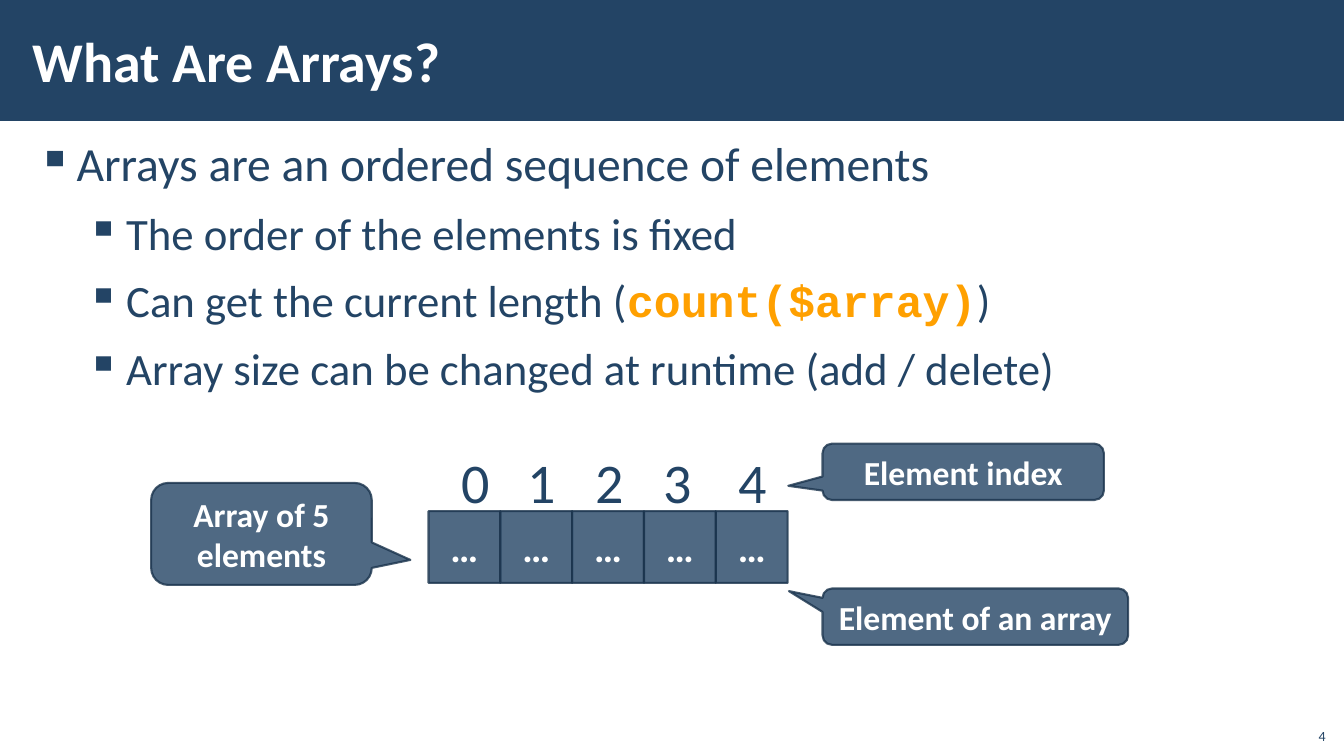
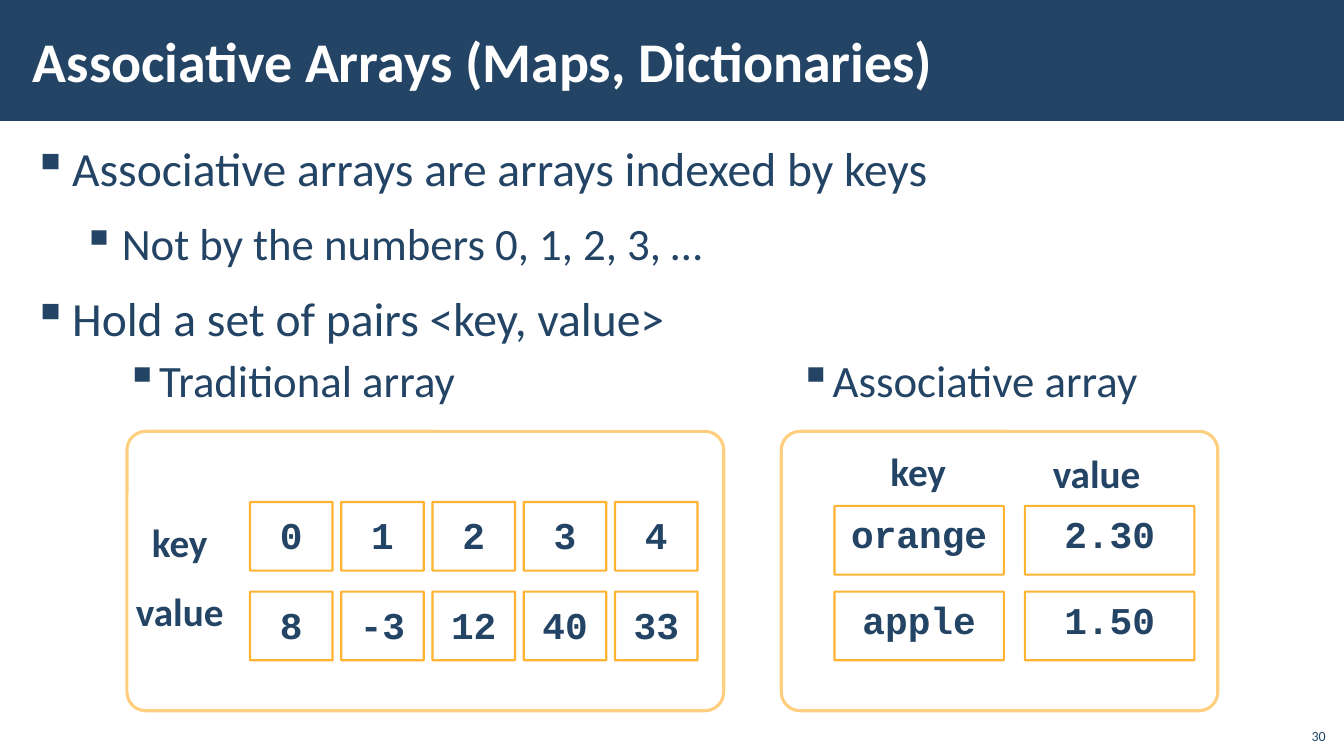
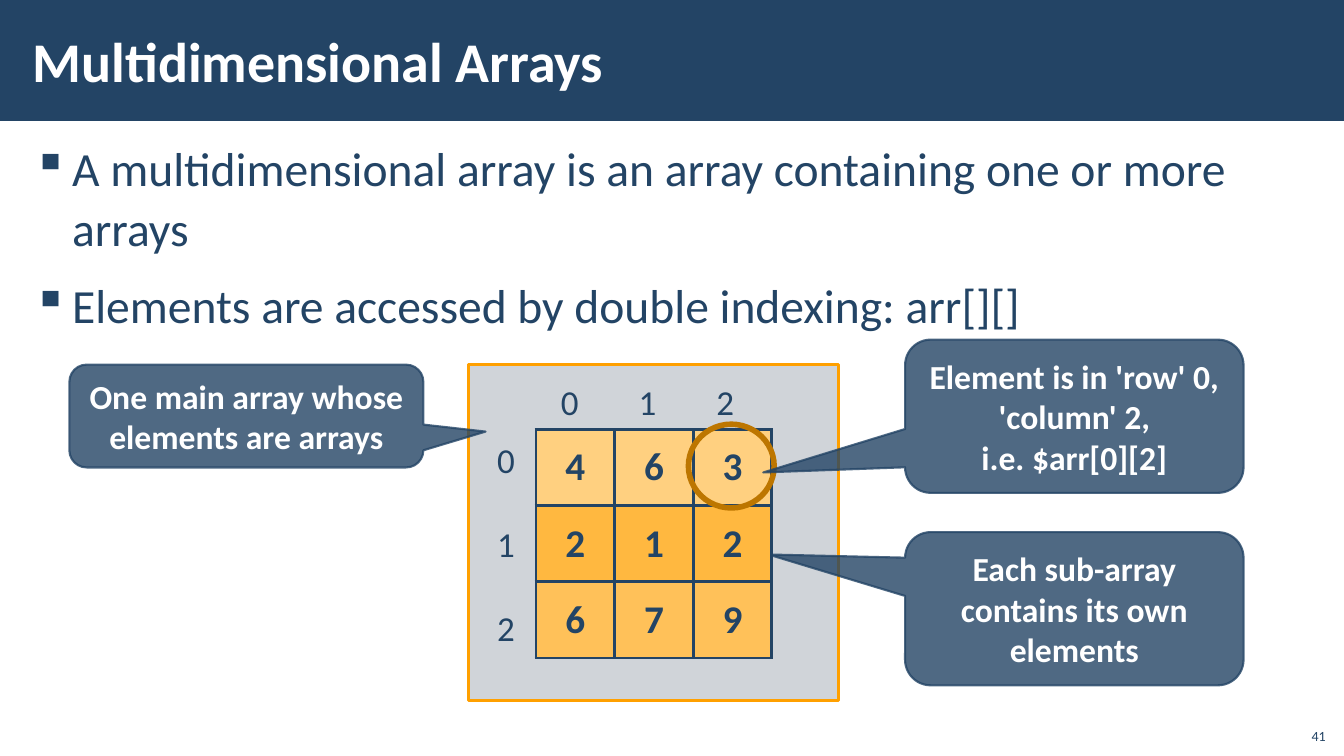
from dataclasses import dataclass

from lxml import etree
from pptx import Presentation
from pptx import util as u
from pptx.dml import color
from pptx.enum import shapes, text
from pptx.oxml import ns

KIND = shapes.MSO_SHAPE
ALIGN = text.PP_ALIGN
ANCHOR = text.MSO_ANCHOR


@dataclass(frozen=True)
class Theme:
    navy: str = "234465"
    deep: str = "1A334C"
    panel: str = "172C42"
    white: str = "FFFFFF"
    amber: str = "FFA000"
    ring: str = "BD7600"
    rows: tuple = ("FFD080", "FFB840", "FFC159")
    sans: str = "Calibri"
    mono: str = "Courier New"
    title: int = 40
    index: int = 40
    levels: tuple = (34, 32)
    label: int = 28
    code: int = 27
    axis: int = 25
    callout: int = 24
    number: int = 10


THEME = Theme()


def rgb(value):
    return color.RGBColor.from_string(value)


def add_xml(parent, tag, **attributes):
    return etree.SubElement(parent, ns.qn(tag), attributes)


class Slides:
    """Holds the deck, its style and the page being filled; lengths are in cm."""

    def __init__(self, theme):
        self.theme = theme
        self.deck = Presentation()
        self.deck.slide_width = u.Cm(33.87)
        self.deck.slide_height = u.Cm(19.05)
        self.page = None

    def start(self, title, number):
        """Open a page with its band, title and page number."""
        theme = self.theme
        self.page = self.deck.slides.add_slide(self.deck.slide_layouts[6])
        self.shape(KIND.RECTANGLE, (0, 0, 33.87, 3.05), fill=theme.navy)
        self.label(title, (0.53, 0.28, 27, 2.46), theme.title, bold=True,
                   ink=theme.white, align=ALIGN.LEFT, anchor=ANCHOR.MIDDLE,
                   margins=(0.3, 0.1))
        self.label(number, (32.64, 18.08, 1.02, 0.81), theme.number,
                   align=ALIGN.RIGHT, anchor=ANCHOR.BOTTOM)

    def style(self, span, size, ink=None, bold=False, face=None):
        span.font.size = u.Pt(size)
        span.font.name = face or self.theme.sans
        span.font.bold = bold
        span.font.color.rgb = rgb(ink or self.theme.navy)

    def fill_text(self, frame, words, size, align=ALIGN.CENTER, **look):
        frame.text = words
        for para in frame.paragraphs:
            para.alignment = align
            for span in para.runs:
                self.style(span, size, **look)

    def box(self, place, margins=(0.25, 0.13), anchor=ANCHOR.TOP):
        """Add a wrapping text box and return its text frame."""
        frame = self.page.shapes.add_textbox(*map(u.Cm, place)).text_frame
        frame.word_wrap = True
        frame.auto_size = text.MSO_AUTO_SIZE.NONE
        frame.vertical_anchor = anchor
        frame.margin_left = frame.margin_right = u.Cm(margins[0])
        frame.margin_top = frame.margin_bottom = u.Cm(margins[1])
        return frame

    def label(self, words, place, size, margins=(0.25, 0.13),
              anchor=ANCHOR.TOP, spacing=1, **look):
        frame = self.box(place, margins, anchor)
        self.fill_text(frame, words, size, **look)
        frame.paragraphs[0].line_spacing = spacing

    def bullets(self, items, place, spacing=1.05, indents=(0.99, 2.24),
                hang=0.99, margins=(0.3, 0.1)):
        """Items are (level, words); words between backticks are code."""
        frame = self.box(place, margins)
        for order, (level, words) in enumerate(items):
            para = frame.add_paragraph() if order else frame.paragraphs[0]
            para.level = level
            para.line_spacing = spacing
            para.space_before = u.Pt(6 if order else 0)
            para.space_after = u.Pt(6)
            props = para._p.get_or_add_pPr()
            props.set("marL", str(u.Cm(indents[level])))
            props.set("indent", str(-u.Cm(hang)))
            add_xml(props, "a:buChar", char="▪")
            for part, piece in enumerate(words.split("`")):
                span = para.add_run()
                span.text = piece
                is_code = part % 2 == 1
                self.style(span, self.theme.levels[level], bold=is_code,
                           ink=self.theme.amber if is_code else None,
                           face=self.theme.mono if is_code else None)

    def subheading(self, words, place):
        self.bullets([(1, words)], place, indents=(0, 0.84), hang=0.84,
                     margins=(0.25, 0.13))

    def shape(self, kind, place, fill=None, line=None, width=1.5,
              fill_alpha=100, line_alpha=100, adjust=()):
        item = self.page.shapes.add_shape(kind, *map(u.Cm, place))
        item.shadow.inherit = False
        for position, value in enumerate(adjust):
            item.adjustments[position] = value
        for target, ink in ((item.fill, fill), (item.line.fill, line)):
            if ink:
                target.solid()
                target.fore_color.rgb = rgb(ink)
            else:
                target.background()
        if line:
            item.line.width = u.Pt(width)
        for where, alpha in (("", fill_alpha), ("a:ln/", line_alpha)):
            if alpha < 100:
                for tint in item.element.xpath(f"p:spPr/{where}a:solidFill/a:srgbClr"):
                    add_xml(tint, "a:alpha", val=str(alpha * 1000))
        return item

    def glass(self, kind, place, words, size, line, adjust=()):
        """A translucent navy shape with bold white text."""
        item = self.shape(kind, place, self.theme.navy, line, fill_alpha=80,
                          line_alpha=80, adjust=adjust)
        self.fill_text(item.text_frame, words, size, bold=True,
                       ink=self.theme.white)

    def callout(self, words, place, tip, line):
        self.glass(KIND.ROUNDED_RECTANGULAR_CALLOUT, place, words,
                   self.theme.callout, line, (*tip, 0.167))

    def code_cell(self, words, place, lift=0):
        """An amber outline with code, raised by lift from the middle."""
        item = self.shape(KIND.RECTANGLE, place, line=self.theme.amber,
                          line_alpha=80)
        item.text_frame.margin_bottom = u.Cm(0.13 + 2 * lift)
        self.fill_text(item.text_frame, words, self.theme.code, bold=True,
                       face=self.theme.mono)

    def frame(self, place):
        self.shape(KIND.ROUNDED_RECTANGLE, place, line=self.theme.amber,
                   width=2.25, line_alpha=50, adjust=(0.067,))

    def table(self, rows, left, top, cell_width, cell_height):
        count = len(rows[0])
        table = self.page.shapes.add_table(
            len(rows), count, u.Cm(left), u.Cm(top),
            u.Cm(cell_width * count), u.Cm(cell_height * len(rows))).table
        table.first_row = table.horz_banding = False
        for column in table.columns:
            column.width = u.Cm(cell_width)
        for line, values, tint in zip(table.rows, rows, self.theme.rows):
            line.height = u.Cm(cell_height)
            for cell, value in zip(line.cells, values):
                self.fill_text(cell.text_frame, value, self.theme.label, bold=True)
                cell.vertical_anchor = ANCHOR.MIDDLE
                self.borders(cell)
                cell.fill.solid()
                cell.fill.fore_color.rgb = rgb(tint)

    def borders(self, cell):
        props = cell._tc.get_or_add_tcPr()
        for side in ("a:lnL", "a:lnR", "a:lnT", "a:lnB"):
            edge = add_xml(props, side, w=str(u.Pt(2.25)))
            add_xml(add_xml(edge, "a:solidFill"), "a:srgbClr", val=self.theme.navy)


def what_are_arrays(slides):
    slides.start("What Are Arrays?", "4")
    slides.bullets([
        (0, "Arrays are an ordered sequence of elements"),
        (1, "The order of the elements is fixed"),
        (1, "Can get the current length (`count($array)`)"),
        (1, "Array size can be changed at runtime (add / delete)"),
    ], (0.64, 3.38, 31.32, 7.44), spacing=0.95)
    for words, place, tip in (
        ("Array of 5 elements", (3.81, 12.17, 5.56, 2.57), (0.675, 0.255)),
        ("Element index", (20.73, 11.18, 7.09, 1.42), (-0.622, 0.249)),
        ("Element of an array", (20.73, 14.83, 7.7, 1.42), (-0.61, -0.453)),
    ):
        slides.callout(words, place, tip, THEME.deep)
    side = 1.81
    for index, left in enumerate((11.23, 12.9, 14.61, 16.31, 18.21)):
        slides.glass(KIND.RECTANGLE, (10.8 + index * side, 12.88, side, side),
                     "…", THEME.label, THEME.deep)
        slides.label(str(index), (left, 10.8, 1.52, 2.39), THEME.index,
                     margins=(0.2, 0.3), spacing=1.1)


def associative_arrays(slides):
    slides.start("Associative Arrays (Maps, Dictionaries)", "30")
    slides.bullets([
        (0, "Associative arrays are arrays indexed by keys"),
        (1, "Not by the numbers 0, 1, 2, 3, …"),
        (0, "Hold a set of pairs <key, value>"),
    ], (0.53, 3.33, 31.65, 5.3))
    slides.subheading("Traditional array", (2.92, 8.69, 8.92, 1.7))
    slides.subheading("Associative array", (19.89, 8.69, 9.96, 1.7))
    slides.frame((3.2, 10.87, 15.04, 7.04))
    slides.frame((19.69, 10.87, 11, 7.04))
    for words, place in (
        ("key", (3.12, 12.93, 2.82, 1.45)),
        ("value", (3.12, 14.68, 2.82, 1.45)),
        ("key", (20.75, 11.15, 4.78, 1.45)),
        ("value", (25.83, 11.18, 3.61, 1.45)),
    ):
        slides.label(words, place, THEME.label, bold=True)
    grids = (
        (6.3, 2.3, 2.08, 0.04,
         ((12.65, ("0", "1", "2", "3", "4")),
          (14.91, ("8", "-3", "12", "40", "33")))),
        (21.03, 4.8, 4.27, 0.17,
         ((12.75, ("orange", "2.30")), (14.91, ("apple", "1.50")))),
    )
    for left, step, width, lift, rows in grids:
        for top, values in rows:
            for column, value in enumerate(values):
                slides.code_cell(value, (left + column * step, top, width, 1.73), lift)


def multidimensional_arrays(slides):
    slides.start("Multidimensional Arrays", "41")
    slides.bullets([
        (0, "A multidimensional array is an array containing one or more arrays"),
        (0, "Elements are accessed by double indexing: arr[][]"),
    ], (0.53, 3.33, 32.82, 5.3))
    slides.shape(KIND.RECTANGLE, (11.81, 9.19, 9.32, 8.46), THEME.panel,
                 THEME.amber, 2.25, fill_alpha=20)
    for index in range(3):
        for left, top in ((13.71 + index * 1.96, 9.45), (12.1, 10.92 + index * 2.12)):
            slides.label(str(index), (left, top, 1.3, 1.32), THEME.axis)
    slides.callout("One main array whose elements are arrays",
                   (1.75, 9.19, 8.92, 2.59), (0.676, 0.151), THEME.navy)
    slides.callout("Each sub-array contains its own elements",
                   (22.81, 13.41, 8.53, 3.86), (-0.904, -0.354), THEME.navy)
    slides.table(("463", "212", "679"), 13.51, 10.82, 1.98, 1.92)
    slides.shape(KIND.OVAL, (17.35, 10.69, 2.16, 2.11), line=THEME.ring, width=4)
    slides.callout("Element is in 'row' 0, 'column' 2,\ni.e. $arr[0][2]",
                   (22.81, 8.56, 8.53, 3.86), (-0.919, 0.367), THEME.navy)


def main():
    slides = Slides(THEME)
    what_are_arrays(slides)
    associative_arrays(slides)
    multidimensional_arrays(slides)
    slides.deck.save("out.pptx")


if __name__ == "__main__":
    main()
